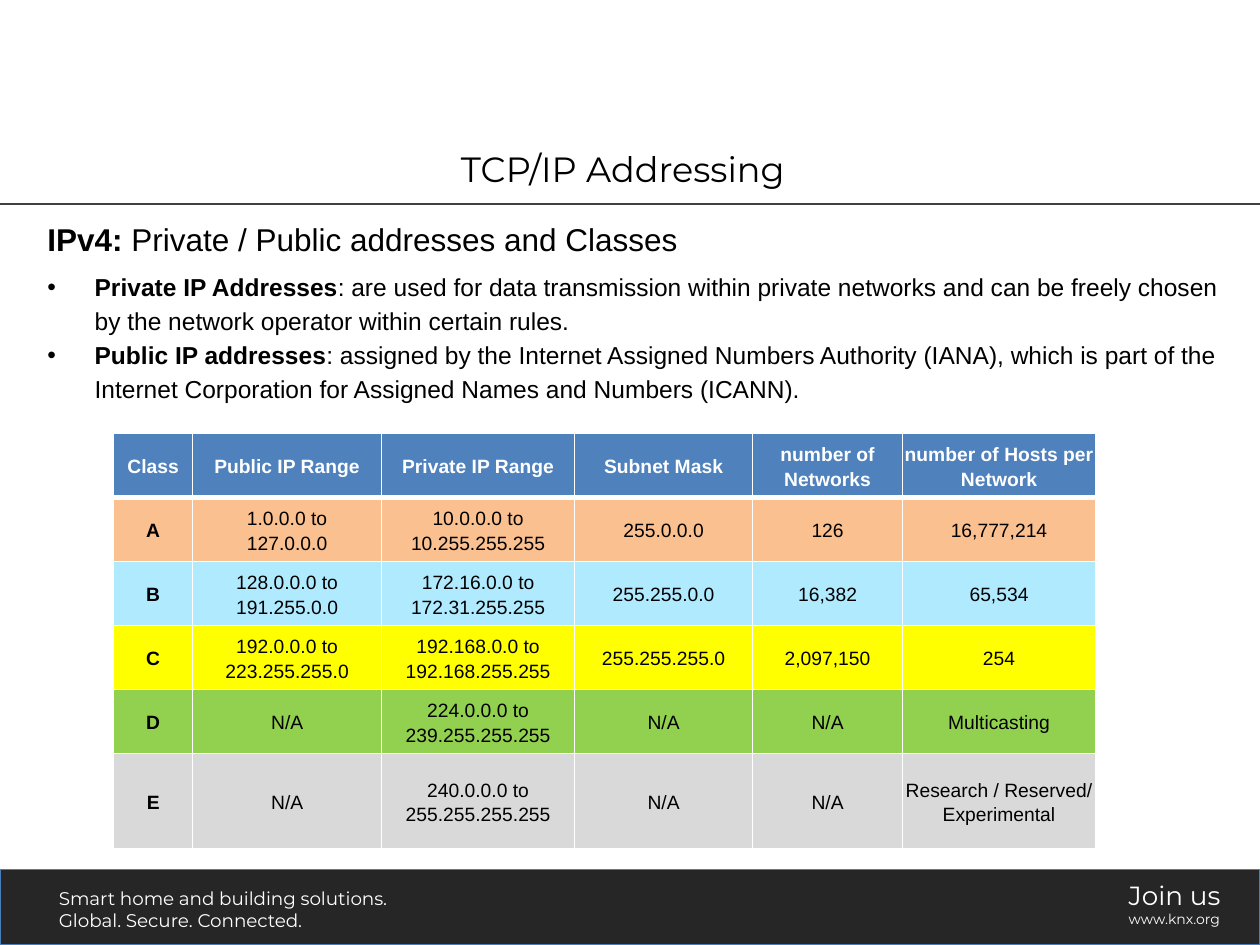
from dataclasses import dataclass

from lxml.etree import SubElement
from pptx import Presentation
from pptx.dml.color import RGBColor
from pptx.enum.shapes import MSO_CONNECTOR, MSO_SHAPE
from pptx.enum.text import MSO_ANCHOR, PP_ALIGN
from pptx.oxml import parse_xml
from pptx.oxml.ns import nsdecls, qn
from pptx.util import Pt


@dataclass(frozen=True)
class Theme:
    body_font: str = "Arial"
    brand_font: str = "Montserrat"
    black: str = "000000"
    white: str = "FFFFFF"
    rule: str = "404040"
    footer: str = "262626"
    footer_line: str = "4A7EBB"
    header: str = "4F81BD"
    title_size: float = 20
    heading_size: float = 18
    bullet_size: float = 14
    table_size: float = 11
    slogan_size: float = 10.5
    join_size: float = 15
    address_size: float = 8


@dataclass(frozen=True)
class Box:
    left: float
    top: float
    width: float
    height: float

    def lengths(self) -> tuple:
        return Pt(self.left), Pt(self.top), Pt(self.width), Pt(self.height)


@dataclass(frozen=True)
class Statement:
    term: str
    text: str
    size: float
    bulleted: bool
    spacing: dict


@dataclass(frozen=True)
class AddressClass:
    fill: str
    cells: tuple


THEME = Theme()
COLUMN_WIDTHS = (45.1, 108, 110.3, 101.7, 85.7, 110.3)
ROW_HEIGHTS = (36.6,) * 5 + (54.4,)
HANGING_INDENT = 27

STATEMENTS = (
    Statement("IPv4: ", "Private / Public addresses and Classes",
              THEME.heading_size, False, {"space_after": Pt(3)}),
    Statement("Private IP Addresses",
              ": are used for data transmission within private networks and can be "
              "freely chosen by the network operator within certain rules.",
              THEME.bullet_size, True, {"space_before": Pt(3)}),
    Statement("Public IP addresses",
              ": assigned by the Internet Assigned Numbers Authority (IANA), which is "
              "part of the Internet Corporation for Assigned Names and Numbers (ICANN).",
              THEME.bullet_size, True, {"space_after": Pt(3)}),
)

HEADINGS = AddressClass(THEME.header, (
    "Class", "Public IP Range", "Private IP Range", "Subnet Mask",
    "number of Networks", "number of Hosts per Network"))
CLASSES = (
    AddressClass("FAC090", ("A", "1.0.0.0 to\n127.0.0.0", "10.0.0.0 to\n10.255.255.255",
                            "255.0.0.0", "126", "16,777,214")),
    AddressClass("AFEAFF", ("B", "128.0.0.0 to\n191.255.0.0", "172.16.0.0 to\n172.31.255.255",
                            "255.255.0.0", "16,382", "65,534")),
    AddressClass("FFFF00", ("C", "192.0.0.0 to\n223.255.255.0", "192.168.0.0 to\n192.168.255.255",
                            "255.255.255.0", "2,097,150", "254")),
    AddressClass("92D050", ("D", "N/A", "224.0.0.0 to 239.255.255.255",
                            "N/A", "N/A", "Multicasting")),
    AddressClass("D9D9D9", ("E", "N/A", "240.0.0.0 to 255.255.255.255",
                            "N/A", "N/A", "Research / Reserved/ Experimental")),
)


def apply(target, values: dict) -> None:
    for name, value in values.items():
        setattr(target, name, value)


def style_run(run, font: str, size: float, color: str, bold: bool = False) -> None:
    apply(run.font, {"name": font, "size": Pt(size), "bold": bold})
    run.font.color.rgb = RGBColor.from_string(color)


def add_rule(slide, top: float) -> None:
    rule = slide.shapes.add_connector(MSO_CONNECTOR.STRAIGHT, 0, Pt(top), Pt(720), Pt(top))
    rule.line.width = Pt(0.5)
    rule.line.color.rgb = RGBColor.from_string(THEME.rule)
    SubElement(rule._element.spPr, qn("a:effectLst"))


def add_text_frame(slide, box: Box):
    frame = slide.shapes.add_textbox(*box.lengths()).text_frame
    frame.word_wrap = True
    return frame


def next_paragraph(frame, index: int):
    return frame.add_paragraph() if index else frame.paragraphs[0]


def add_footer_text(slide, box: Box, lines: tuple) -> None:
    frame = add_text_frame(slide, box)
    for index, (text, size) in enumerate(lines):
        run = next_paragraph(frame, index).add_run()
        run.text = text
        style_run(run, THEME.brand_font, size, THEME.white)


def add_bullet(paragraph) -> None:
    properties = paragraph._p.get_or_add_pPr()
    properties.set("marL", str(Pt(HANGING_INDENT)))
    properties.set("indent", str(-Pt(HANGING_INDENT)))
    SubElement(properties, qn("a:buFont"), typeface=THEME.body_font)
    SubElement(properties, qn("a:buChar"), char="•")


def add_statements(slide, box: Box) -> None:
    frame = add_text_frame(slide, box)
    for index, statement in enumerate(STATEMENTS):
        paragraph = next_paragraph(frame, index)
        if statement.bulleted:
            add_bullet(paragraph)
        apply(paragraph, {"line_spacing": 1.15, **statement.spacing})
        for text, bold in ((statement.term, True), (statement.text, False)):
            run = paragraph.add_run()
            run.text = text
            style_run(run, THEME.body_font, statement.size, THEME.black, bold)


def add_borders(cell, bottom: float) -> None:
    properties = cell._tc.get_or_add_tcPr()
    for index, (side, width) in enumerate((("L", 1), ("R", 1), ("T", 1), ("B", bottom))):
        properties.insert(index, parse_xml(
            f'<a:ln{side} {nsdecls("a")} w="{Pt(width)}"><a:solidFill>'
            f'<a:srgbClr val="{THEME.white}"/></a:solidFill></a:ln{side}>'))


def fill_cell(cell, text: str, fill: str, color: str, bold: bool, bottom: float) -> None:
    cell.fill.solid()
    cell.fill.fore_color.rgb = RGBColor.from_string(fill)
    margins = {f"margin_{side}": Pt(0.7) for side in ("left", "right", "top", "bottom")}
    apply(cell, {"vertical_anchor": MSO_ANCHOR.MIDDLE, **margins})
    add_borders(cell, bottom)
    paragraph = cell.text_frame.paragraphs[0]
    paragraph.text = text
    apply(paragraph, {"alignment": PP_ALIGN.CENTER, "line_spacing": 1.15})
    for run in paragraph.runs:
        style_run(run, THEME.body_font, THEME.table_size, color, bold)
    # Line breaks carry their own type size
    for line_break in paragraph._p.findall(qn("a:br")):
        SubElement(line_break, qn("a:rPr"), sz=str(int(THEME.table_size * 100)))


def add_class_table(slide, left: float, top: float) -> None:
    box = Box(left, top, sum(COLUMN_WIDTHS), sum(ROW_HEIGHTS))
    table = slide.shapes.add_table(len(ROW_HEIGHTS), len(COLUMN_WIDTHS), *box.lengths()).table
    table.horz_banding = False
    for column, width in zip(table.columns, COLUMN_WIDTHS):
        column.width = Pt(width)
    for index, entry in enumerate((HEADINGS, *CLASSES)):
        table.rows[index].height = Pt(ROW_HEIGHTS[index])
        is_header = index == 0
        color = THEME.white if is_header else THEME.black
        for position, text in enumerate(entry.cells):
            fill_cell(table.cell(index, position), text, entry.fill, color,
                      is_header or position == 0, 3 if is_header else 1)


def main() -> None:
    deck = Presentation()
    apply(deck, {"slide_width": Pt(720), "slide_height": Pt(540)})
    slide = deck.slides.add_slide(deck.slide_layouts[5])

    # Title and the double rule under it
    title = slide.shapes.title
    apply(title, dict(zip(("left", "top", "width", "height"),
                          Box(26.6, 78.5, 658.8, 35.3).lengths())))
    title.text_frame.text = "TCP/IP Addressing"
    title.text_frame.vertical_anchor = MSO_ANCHOR.MIDDLE
    heading = title.text_frame.paragraphs[0]
    heading.alignment = PP_ALIGN.CENTER
    style_run(heading.runs[0], THEME.brand_font, THEME.title_size, THEME.black)
    for top in (116.2, 116.8):
        add_rule(slide, top)

    # Footer band
    band = slide.shapes.add_shape(MSO_SHAPE.RECTANGLE, *Box(0, 496.8, 720, 43.2).lengths())
    band.shadow.inherit = False
    band.fill.solid()
    band.fill.fore_color.rgb = RGBColor.from_string(THEME.footer)
    band.line.width = Pt(0.75)
    band.line.color.rgb = RGBColor.from_string(THEME.footer_line)
    add_footer_text(slide, Box(26.6, 503.3, 211, 32.4), (
        ("Smart home and building solutions.", THEME.slogan_size),
        ("Global. Secure. Connected.", THEME.slogan_size)))
    add_footer_text(slide, Box(637.9, 499, 72, 36.7), (
        ("Join us", THEME.join_size), ("www.knx.org", THEME.address_size)))

    # Explanation and address classes
    add_statements(slide, Box(20, 118.8, 689, 114.5))
    add_class_table(slide, 65, 247.7)
    deck.save("out.pptx")


if __name__ == "__main__":
    main()
